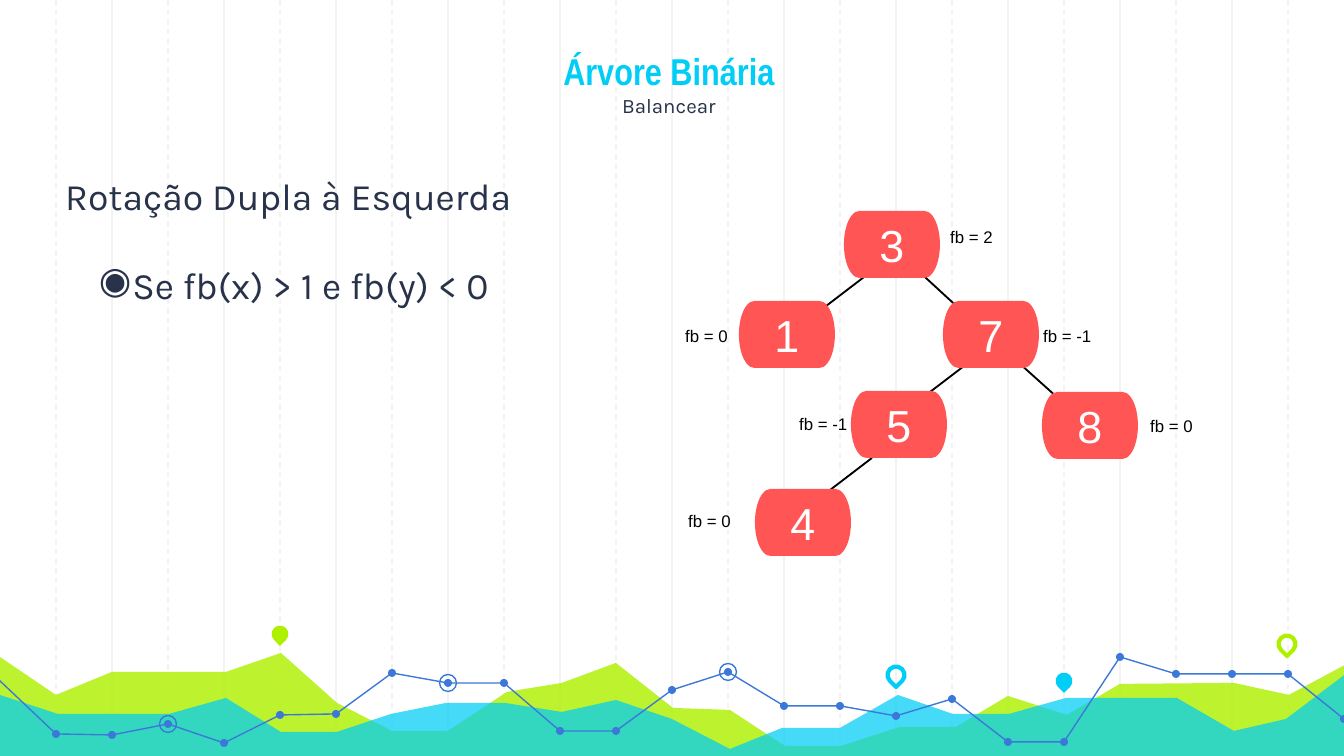
from lxml.etree import SubElement
from pptx import Presentation
from pptx.dml.color import RGBColor
from pptx.enum.dml import MSO_LINE
from pptx.enum.shapes import MSO_CONNECTOR, MSO_SHAPE
from pptx.enum.text import MSO_ANCHOR, PP_ALIGN
from pptx.oxml.ns import qn
from pptx.util import Pt

SCALE = 914400 / 134.4
WIDTH, HEIGHT, STEP = 1344, 756, 56
COLORS = {"grid": "F3F3F3", "green": "AFF000", "cyan": "00CEF6", "blue": "3C78D8",
          "node": "FF5555", "ink": "28324A", "black": "000000", "white": "FFFFFF"}

GREEN_HILLS = [(-3, 655), (56, 695), (112, 672), (226, 672), (281, 653), (337, 703),
               (392, 731), (448, 731), (507, 692), (562, 683), (616, 663), (673, 708),
               (730, 710), (785, 746), (841, 746), (900, 727), (956, 727), (1008, 696),
               (1067, 715), (1120, 684), (1234, 683), (1289, 695), (1347, 664),
               (1345, 758), (-4, 758)]
CYAN_HILLS = [(-3, 694), (58, 714), (169, 714), (226, 698), (281, 732), (337, 732),
              (391, 714), (446, 703), (505, 703), (562, 712), (616, 700), (672, 719),
              (730, 749), (782, 728), (840, 728), (898, 695), (953, 714), (1009, 714),
              (1066, 698), (1177, 698), (1234, 731), (1286, 719), (1347, 673),
              (1347, 759), (-4, 759)]
DOT_HEIGHTS = [734, 735, 724, 743, 715, 714, 673, 683, 683, 731, 731, 690,
               672, 706, 706, 716, 699, 742, 742, 657, 674, 674, 674, 719]
RINGED = (3, 8, 13)
PINS = [(280, 634, "green", True), (896, 675, "cyan", False),
        (1064, 681, "cyan", True), (1287, 644, "green", False)]

EDGES = [(968, 363, 913, 405), (1019, 363, 1068, 407), (872, 458, 817, 500),
         (914, 267, 964, 313), (872, 271, 817, 313)]
NODES = [("3", 844, 211), ("1", 739, 301), ("7", 943, 301),
         ("8", 1042, 392), ("4", 755, 489), ("5", 851, 391)]
BALANCES = [("fb = 2", 937, 220), ("fb = -1", 1030, 319), ("fb = -1", 786, 407),
            ("fb = 0", 672, 319), ("fb = 0", 675, 504), ("fb = 0", 1137, 409)]


def px(*values):
    return [round(v * SCALE) for v in values]


def rgb(name):
    return RGBColor.from_string(COLORS[name])


class Deck:
    def __init__(self):
        self.prs = Presentation()
        self.prs.slide_width, self.prs.slide_height = px(WIDTH, HEIGHT)
        self.s = self.prs.slides.add_slide(self.prs.slide_layouts[6])

    def paint(self, sp, fill=None, line=None, weight=0.75, alpha=None):
        sp.shadow.inherit = False
        if fill:
            sp.fill.solid()
            sp.fill.fore_color.rgb = rgb(fill)
        else:
            sp.fill.background()
        if alpha:
            clr = sp.fill._xPr.find(".//" + qn("a:srgbClr"))
            SubElement(clr, qn("a:alpha"), val=str(alpha * 1000))
        if line:
            sp.line.color.rgb = rgb(line)
            sp.line.width = Pt(weight)
        else:
            sp.line.fill.background()

    def line(self, x1, y1, x2, y2, color, weight, dashed=False):
        c = self.s.shapes.add_connector(MSO_CONNECTOR.STRAIGHT, *px(x1, y1, x2, y2))
        c.line.color.rgb = rgb(color)
        c.line.width = Pt(weight)
        if dashed:
            c.line.dash_style = MSO_LINE.DASH
        SubElement(c._element.spPr, qn("a:effectLst"))

    def freeform(self, points, closed, **style):
        fb = self.s.shapes.build_freeform(*points[0], scale=SCALE)
        fb.add_line_segments(points[1:], close=closed)
        self.paint(fb.convert_to_shape(), **style)

    def shape(self, kind, x, y, w, h, **style):
        sp = self.s.shapes.add_shape(kind, *px(x, y, w, h))
        self.paint(sp, **style)
        return sp

    def centred(self, kind, x, y, size, **style):
        """Square-framed shape placed by its centre."""
        return self.shape(kind, x - size / 2, y - size / 2, size, size, **style)

    def node(self, key, x, y):
        sp = self.shape(MSO_SHAPE.FLOWCHART_TERMINATOR, x, y, 96, 67, fill="node")
        tf = sp.text_frame
        tf.vertical_anchor = MSO_ANCHOR.MIDDLE
        p = tf.paragraphs[0]
        p.text, p.alignment = key, PP_ALIGN.CENTER
        self.font(p.font, "Arial", 24, "white")

    def font(self, font, name, size, color, bold=False):
        font.name, font.size, font.bold = name, Pt(size), bold
        font.color.rgb = rgb(color)

    def textbox(self, x, y, w, h, inset=None):
        tf = self.s.shapes.add_textbox(*px(x, y, w, h)).text_frame
        tf.word_wrap = True
        if inset:
            tf.margin_top = tf.margin_bottom = px(inset)[0]
        return tf

    def label(self, text, x, y):
        p = self.textbox(x, y, 85, 34).paragraphs[0]
        p.text = text
        self.font(p.font, "Arial", 9, "black")

    def title(self, title, subtitle):
        tf = self.textbox(155, 26, 1028, 105, inset=13)
        tf.vertical_anchor = MSO_ANCHOR.BOTTOM
        p = tf.paragraphs[0]
        p.alignment = PP_ALIGN.CENTER
        r = p.add_run()
        r.text = title
        self.font(r.font, "Arial Narrow", 20, "cyan", bold=True)
        p.add_line_break()
        r = p.add_run()
        r.text = subtitle
        self.font(r.font, "Karla", 11, "ink")

    def body(self, heading, rule):
        tf = self.textbox(52, 160, 578, 220, inset=13)
        bullet = tf.add_paragraph()
        for p, text in zip(tf.paragraphs, (heading, rule)):
            p.text, p.alignment = text, PP_ALIGN.JUSTIFY
            self.font(p.font, "Karla", 20, "ink")
        bullet.space_before = Pt(24)
        pPr = bullet._p.get_or_add_pPr()
        pPr.set("marL", "457200")
        pPr.set("indent", "-228600")
        bu = pPr.makeelement(qn("a:buChar"), {"char": "◉"})
        pPr.find(qn("a:spcBef")).addnext(bu)


def draw_background(deck):
    for first, dashed in ((2, False), (1, True)):
        for k in range(first, WIDTH // STEP, 2):
            deck.line(k * STEP, 0, k * STEP, 759, "grid", 0.75, dashed)
    deck.freeform(GREEN_HILLS, True, fill="green", alpha=82)
    deck.freeform(CYAN_HILLS, True, fill="cyan", alpha=73)
    for x, y, color, filled in PINS:
        style = {"fill": color} if filled else {"line": color, "weight": 2.25}
        deck.centred(MSO_SHAPE.TEAR, x, y, 17, **style).rotation = 135

    dots = [(k * STEP, y) for k, y in enumerate(DOT_HEIGHTS, 1)]
    track = [(-1, 680)] + dots
    for start, end in ((0, 11), (11, 20), (20, 24)):
        deck.freeform(track[start:end + 1], False, line="blue")
    for x, y in dots:
        deck.centred(MSO_SHAPE.OVAL, x, y, 8, fill="blue")
    for k in RINGED:
        deck.centred(MSO_SHAPE.OVAL, *track[k], 17, line="blue")


def draw_tree(deck):
    for edge in EDGES:
        deck.line(*edge, "black", 1)
    for node in NODES:
        deck.node(*node)
    for balance in BALANCES:
        deck.label(*balance)


def main():
    deck = Deck()
    draw_background(deck)
    deck.title("Árvore Binária", "Balancear")
    deck.body("Rotação Dupla à Esquerda", "Se fb(x) > 1 e fb(y) < 0")
    draw_tree(deck)
    deck.prs.save("out.pptx")


if __name__ == "__main__":
    main()
